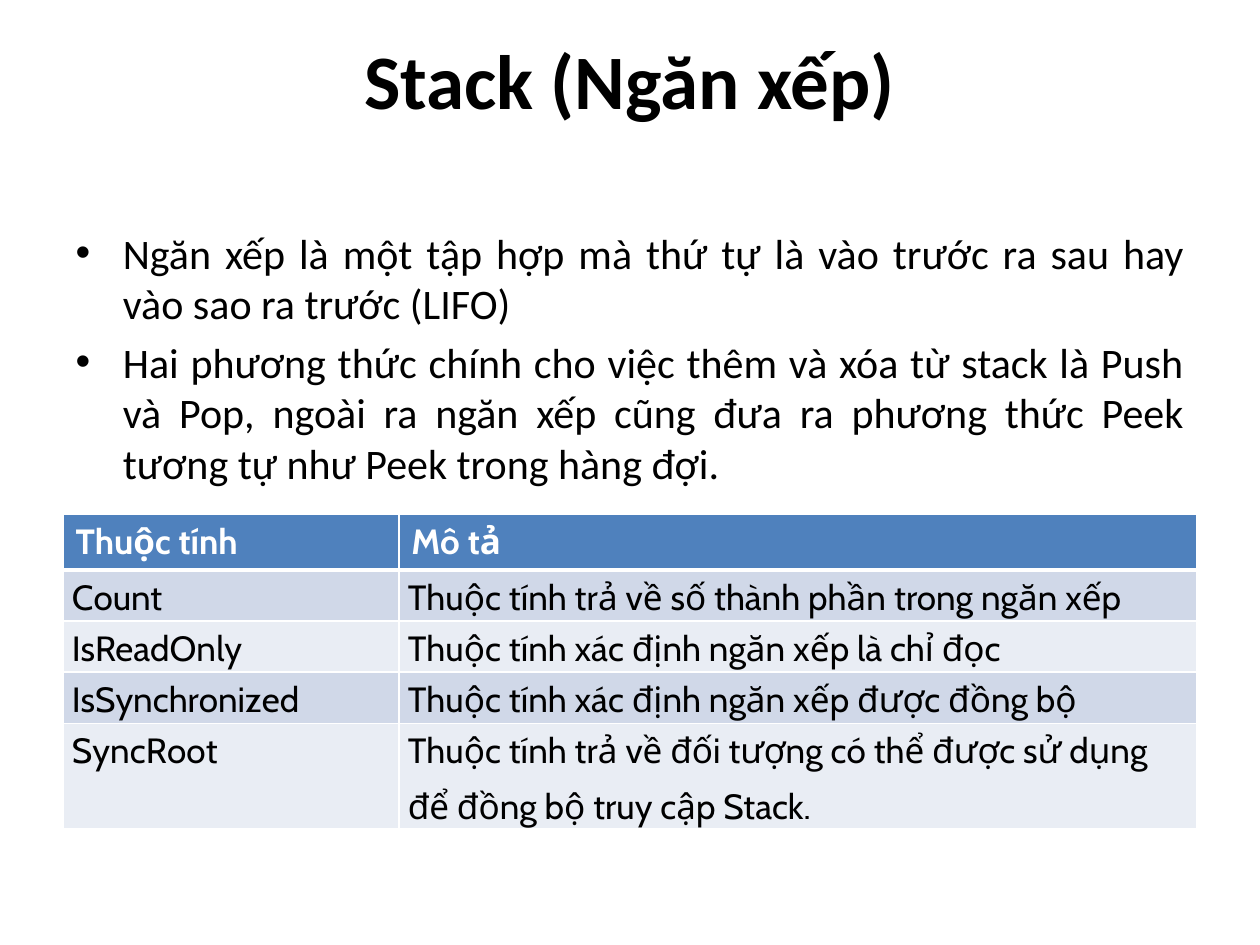
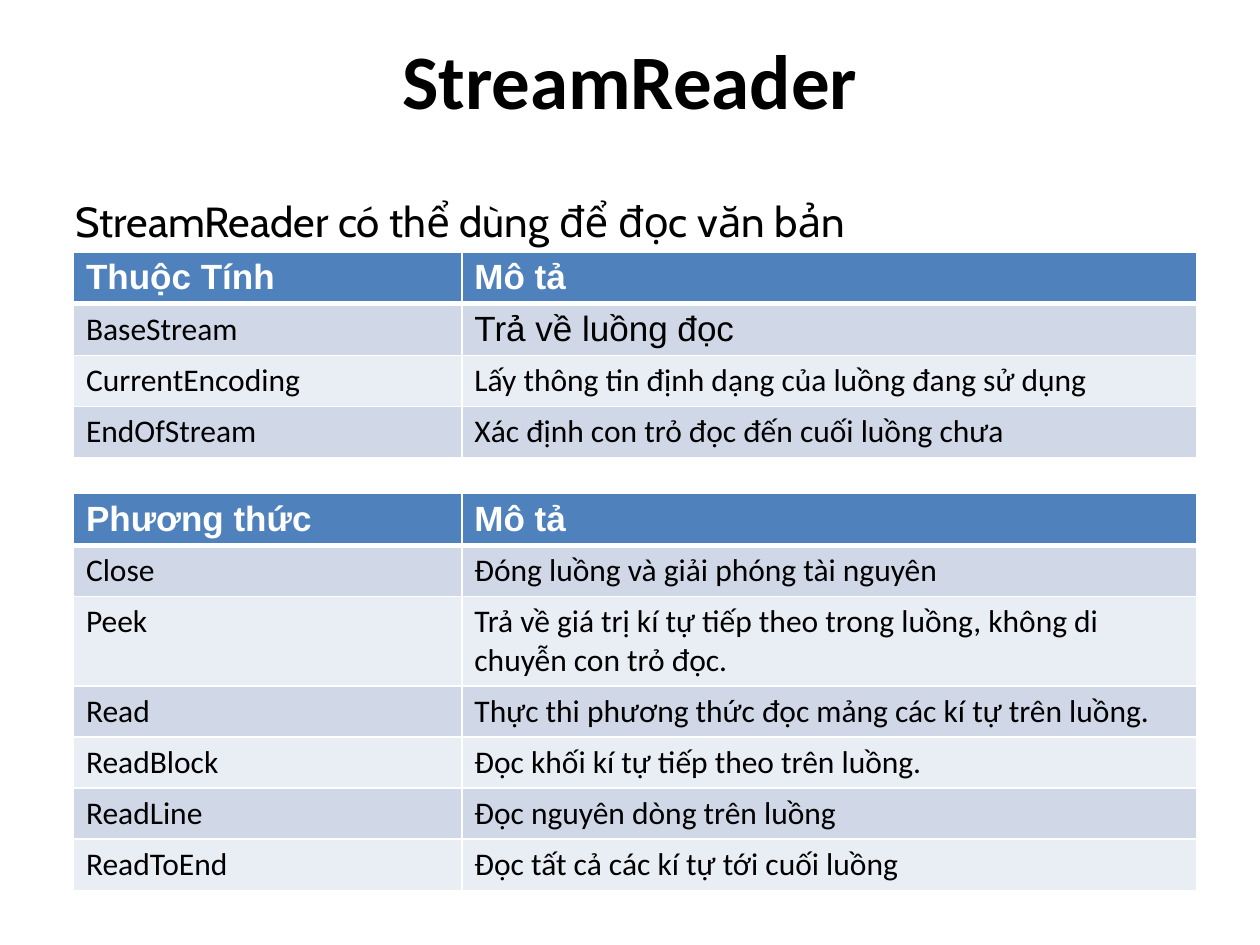
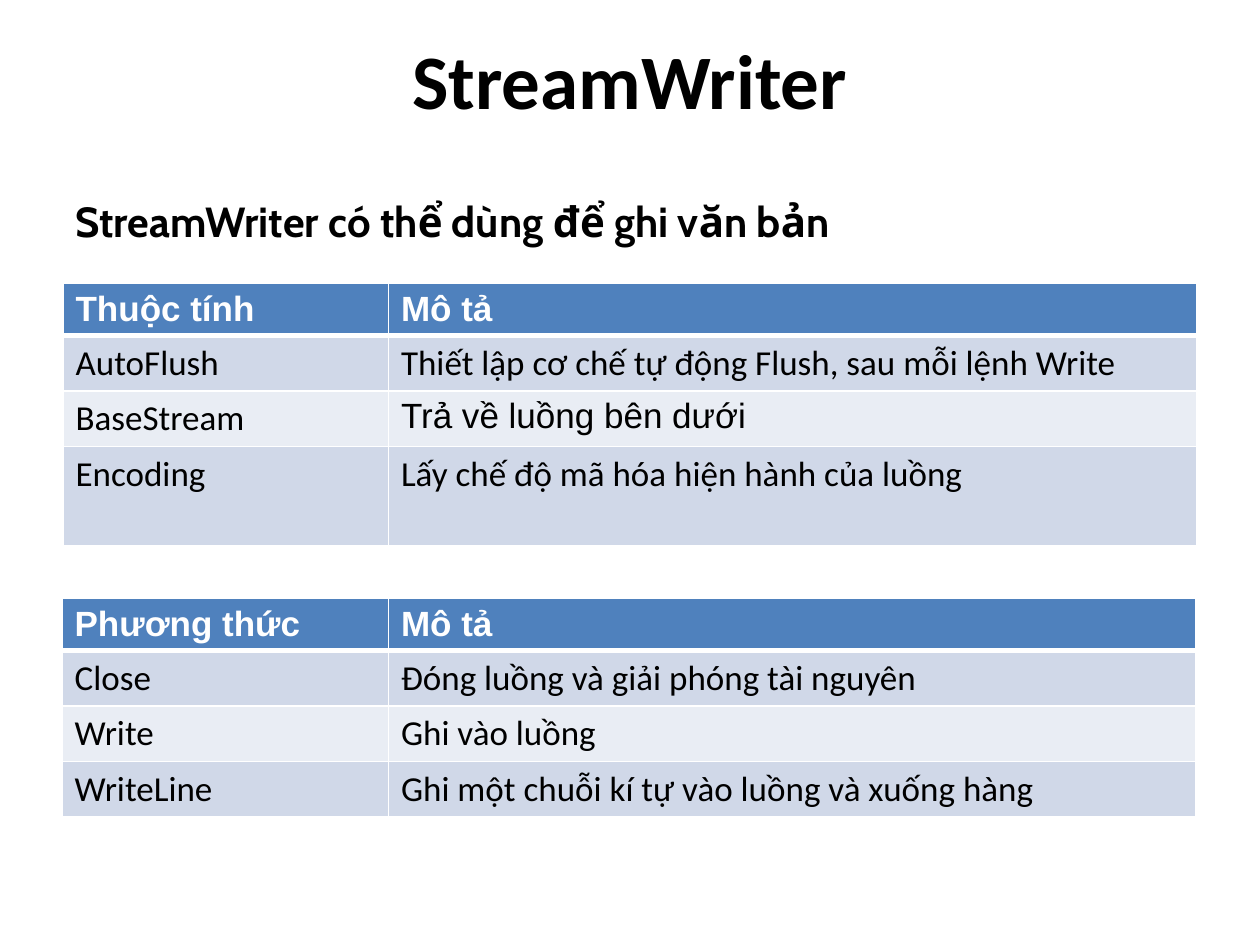
from lxml import etree
from pptx import Presentation
from pptx.dml.color import RGBColor
from pptx.enum.text import MSO_ANCHOR, MSO_AUTO_SIZE, PP_ALIGN
from pptx.oxml.ns import qn
from pptx.util import Cm, Pt

BLACK = RGBColor(0x00, 0x00, 0x00)
WHITE = RGBColor(0xFF, 0xFF, 0xFF)
BLUE = RGBColor(0x4F, 0x81, 0xBD)
BANDS = [RGBColor(0xD0, 0xD8, 0xE8), RGBColor(0xE9, 0xED, 0xF4)]

TITLE = dict(name="Calibri", size=Pt(44), bold=True)
LIST = dict(name="Calibri", size=Pt(24), bold=False)
LEAD = dict(name="Cabin", size=Pt(24), bold=False)
LEAD_BOLD = dict(LEAD, bold=True)
CABIN = dict(name="Cabin", size=Pt(20), bold=False)
ARIAL = dict(CABIN, name="Arial")
CALIBRI = dict(CABIN, name="Calibri")
CALIBRI_SMALL = dict(CALIBRI, size=Pt(18))

ARIAL_CELLS = {"Trả về luồng đọc", "Trả về luồng bên dưới"}
SPACING = {"-": "-10", "+": "10"}

SLIDES = [
    dict(
        title="Stack (Ngăn xếp)",
        body=[
            "Ngăn xếp là một tập hợp mà thứ tự là vào trước ra sau hay vào sao ra trước (LIFO)",
            "Hai phương thức chính cho việc thêm và xóa từ stack là Push và Pop, ngoài ra ngăn xếp "
            "cũng đưa ra phương thức Peek tương tự như Peek trong hàng đợi.",
        ],
        body_box=(4.45, 12.57), body_font=LIST, bullet=True,
        head_font=CABIN, cell_font=CABIN, spaced=True,
        tables=[dict(
            at=(1.27, 10.37), cols=(6.77, 16.09), heights=(1.12, 1.03, 1.03, 1.03, 2.11),
            rows=[
                ("Thuộc tính", "Mô tả"),
                ("-C|ount",
                 "-T|huộc |+t|ính t|+r|ả về số t|-hà|nh phần |+t|rong |-n|g|-ă|n x|-ế|p"),
                ("Is|-Re|a|-d|O|+n|ly",
                 "-T|huộc |+t|ính xác định n|-gă|n x|+ế|p |-l|à|- c|hỉ đọc"),
                ("Is|-S|y|-n|c|-hr|oni|+z|ed",
                 "-T|huộc |+t|ính xác định n|-gă|n x|+ế|p đ|+ư|-ợ|c đồng bộ"),
                ("-S|y|+n|c|+R|o|-o|t",
                 "-T|huộc |-t|+í|nh t|-r|ả về đối tượng |-c|ó t|-h|ể đư|+ợ|c sử dụng\n"
                 "-đ|ể đồng bộ |-t|r|-u|y c|-ậ|p Stack."),
            ])],
    ),
    dict(
        title="StreamReader",
        body=["StreamReader có thể dùng để đọc văn bản"],
        body_box=(3.81, 1.48), body_font=LEAD, bullet=False,
        head_font=ARIAL, cell_font=CALIBRI_SMALL, spaced=False,
        tables=[
            dict(at=(1.48, 5.08), cols=(7.83, 14.82), heights=(1.03,) * 4, rows=[
                ("Thuộc Tính", "Mô tả"),
                ("BaseStream", "Trả về luồng đọc"),
                ("CurrentEncoding", "Lấy thông tin định dạng của luồng đang sử dụng"),
                ("EndOfStream", "Xác định con trỏ đọc đến cuối luồng chưa"),
            ]),
            dict(at=(1.48, 9.95), cols=(7.83, 14.82),
                 heights=(1.02, 1.03, 1.79) + (1.03,) * 4, rows=[
                ("Phương thức", "Mô tả"),
                ("Close", "Đóng luồng và giải phóng tài nguyên"),
                ("Peek", "Trả về giá trị kí tự tiếp theo trong luồng, không di chuyễn con trỏ đọc."),
                ("Read", "Thực thi phương thức đọc mảng các kí tự trên luồng."),
                ("ReadBlock", "Đọc khối kí tự tiếp theo trên luồng."),
                ("ReadLine", "Đọc nguyên dòng trên luồng"),
                ("ReadToEnd", "Đọc tất cả các kí tự tới cuối luồng"),
            ]),
        ],
    ),
    dict(
        title="StreamWriter",
        body=["StreamWriter có thể dùng để ghi văn bản"],
        body_box=(3.81, 1.48), body_font=LEAD_BOLD, bullet=False,
        head_font=ARIAL, cell_font=CALIBRI, spaced=False,
        tables=[
            dict(at=(1.27, 5.72), cols=(6.56, 16.3), heights=(1.02, 1.11, 1.12, 2), rows=[
                ("Thuộc tính", "Mô tả"),
                ("AutoFlush", "Thiết lập cơ chế tự động Flush, sau mỗi lệnh Write"),
                ("BaseStream", "Trả về luồng bên dưới"),
                ("Encoding", "Lấy chế độ mã hóa hiện hành của luồng"),
            ]),
            dict(at=(1.25, 12.07), cols=(6.58, 16.27), heights=(1.02, 1.11, 1.12, 1.12), rows=[
                ("Phương thức", "Mô tả"),
                ("Close", "Đóng luồng và giải phóng tài nguyên"),
                ("Write", "Ghi vào luồng"),
                ("WriteLine", "Ghi một chuỗi kí tự vào luồng và xuống hàng"),
            ]),
        ],
    ),
]


def set_font(p, fmt, color):
    for r in p.runs:
        for key, value in fmt.items():
            setattr(r.font, key, value)
        r.font.color.rgb = color


def place(sp, top, height, anchor):
    sp.left, sp.top, sp.width, sp.height = Cm(1.27), Cm(top), Cm(22.86), Cm(height)
    sp.text_frame.auto_size = MSO_AUTO_SIZE.NONE
    sp.text_frame.vertical_anchor = anchor


def add_title(s, text):
    sp = s.shapes.title
    place(sp, 0, 3.18, MSO_ANCHOR.MIDDLE)
    sp.text_frame.text = text
    p = sp.text_frame.paragraphs[0]
    p.alignment = PP_ALIGN.CENTER
    set_font(p, TITLE, BLACK)


def add_body(s, data):
    sp = s.placeholders[1]
    place(sp, *data["body_box"], MSO_ANCHOR.TOP)
    tf = sp.text_frame
    tf.text = "\n".join(data["body"])
    tf.paragraphs[0].space_before = Pt(0)
    for p in tf.paragraphs:
        p.alignment = PP_ALIGN.JUSTIFY
        if not data["bullet"]:
            pPr = p._p.get_or_add_pPr()
            pPr.set("marL", "0")
            pPr.set("indent", "0")
            etree.SubElement(pPr, qn("a:buNone"))
        set_font(p, data["body_font"], BLACK)


def set_borders(cell, top, bottom):
    tcPr = cell._tc.get_or_add_tcPr()
    for i, (side, width) in enumerate([("L", 1), ("R", 1), ("T", top), ("B", bottom)]):
        ln = etree.Element(qn("a:ln" + side), w=str(Pt(width)))
        fill = etree.SubElement(ln, qn("a:solidFill"))
        etree.SubElement(fill, qn("a:srgbClr"), val=str(WHITE))
        tcPr.insert(i, ln)


def write_spaced(cell, text):
    for side in ("left", "top", "right", "bottom"):
        setattr(cell, "margin_" + side, 0)
    tf = cell.text_frame
    for i, line in enumerate(text.split("\n")):
        p = tf.add_paragraph() if i else tf.paragraphs[0]
        p._p.get_or_add_pPr().set("marL", str(Cm(0.18)))
        p.line_spacing = 1.15
        p.space_before = Pt(4.2 if i else 0)
        for part in line.split("|"):
            r = p.add_run()
            r.text = part[1:] if part[0] in SPACING else part
            r._r.get_or_add_rPr().set("spc", SPACING.get(part[0], "0"))


def fill_cell(cell, text, row, data):
    head = row == 0
    if data["spaced"] and not head:
        write_spaced(cell, text)
    else:
        cell.text = text
    cell.fill.solid()
    cell.fill.fore_color.rgb = BLUE if head else BANDS[(row - 1) % 2]
    set_borders(cell, 3 if row == 1 else 1, 3 if head else 1)
    if head:
        fmt, color = dict(data["head_font"], bold=True), WHITE
    else:
        fmt, color = ARIAL if text in ARIAL_CELLS else data["cell_font"], BLACK
    for p in cell.text_frame.paragraphs:
        set_font(p, fmt, color)


def add_grid(s, grid, data):
    rows, cols, heights = grid["rows"], grid["cols"], grid["heights"]
    left, top = grid["at"]
    table = s.shapes.add_table(len(rows), len(cols), Cm(left), Cm(top),
                               Cm(sum(cols)), Cm(sum(heights))).table
    table.horz_banding = table.first_row = False
    for column, width in zip(table.columns, cols):
        column.width = Cm(width)
    for i, (row, height) in enumerate(zip(rows, heights)):
        table.rows[i].height = Cm(height)
        for j, text in enumerate(row):
            fill_cell(table.cell(i, j), text, i, data)


def main():
    prs = Presentation()
    prs.slide_width, prs.slide_height = Cm(25.4), Cm(19.05)
    for data in SLIDES:
        s = prs.slides.add_slide(prs.slide_layouts[1])
        add_title(s, data["title"])
        add_body(s, data)
        for grid in data["tables"]:
            add_grid(s, grid, data)
    prs.save("out.pptx")


if __name__ == "__main__":
    main()
